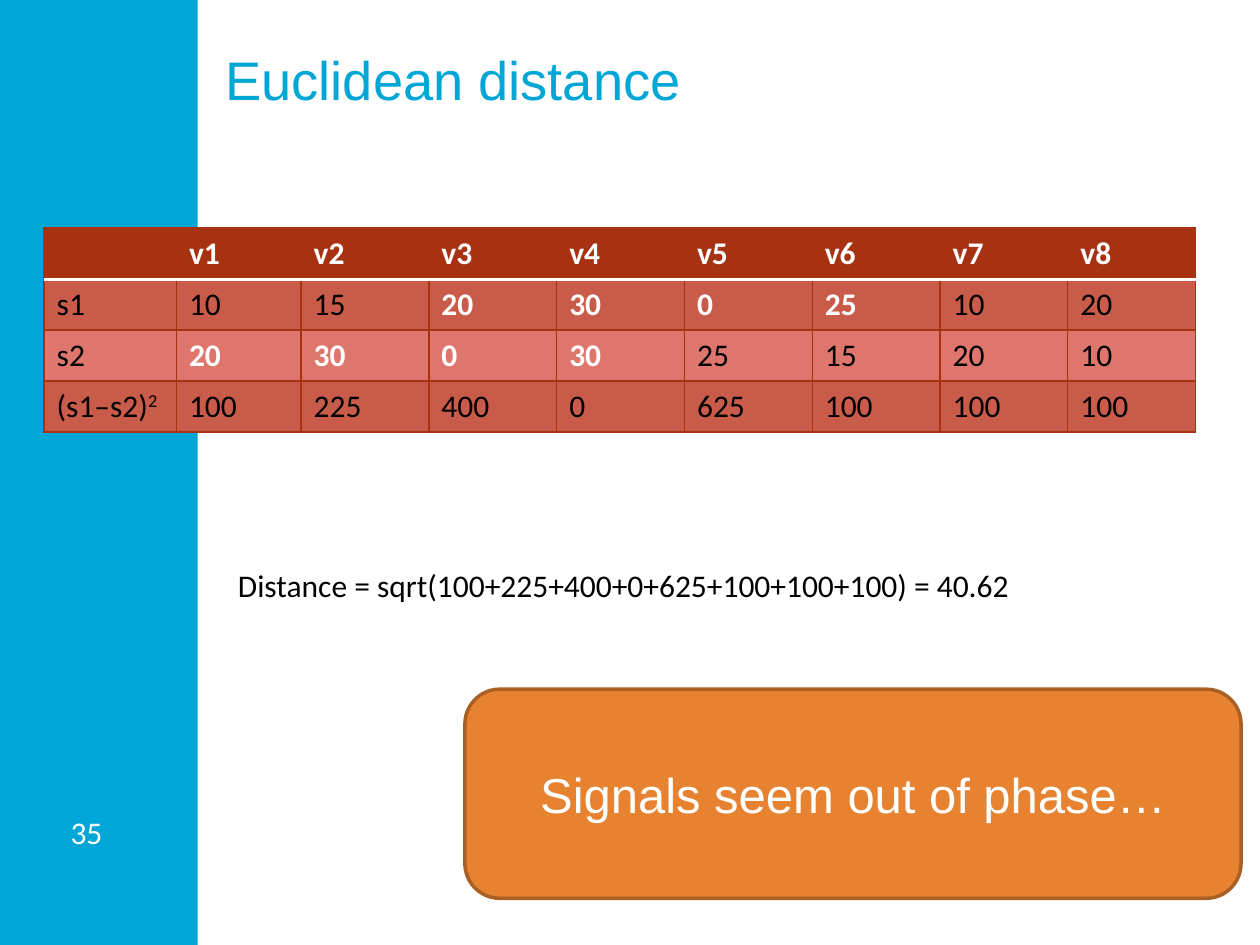
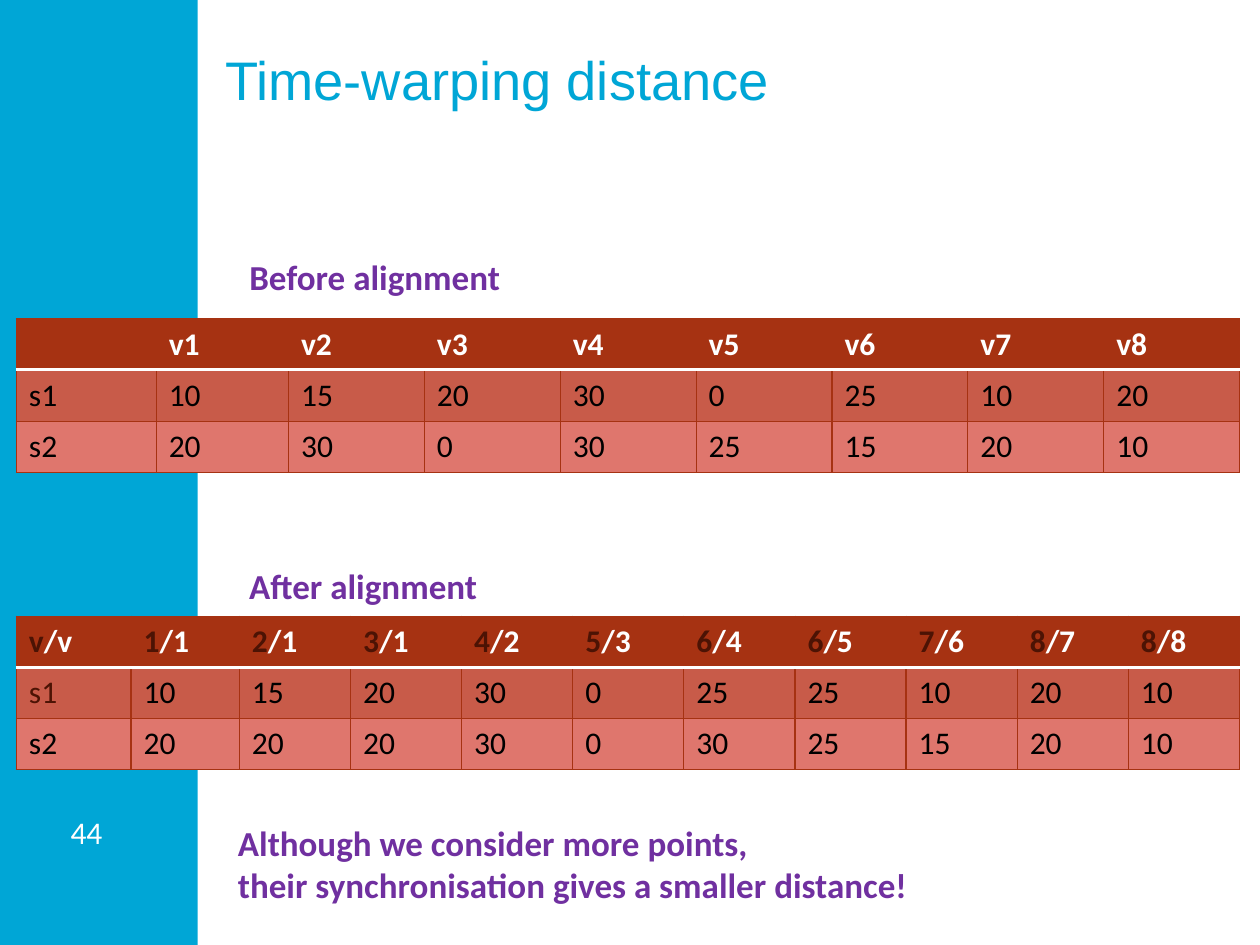
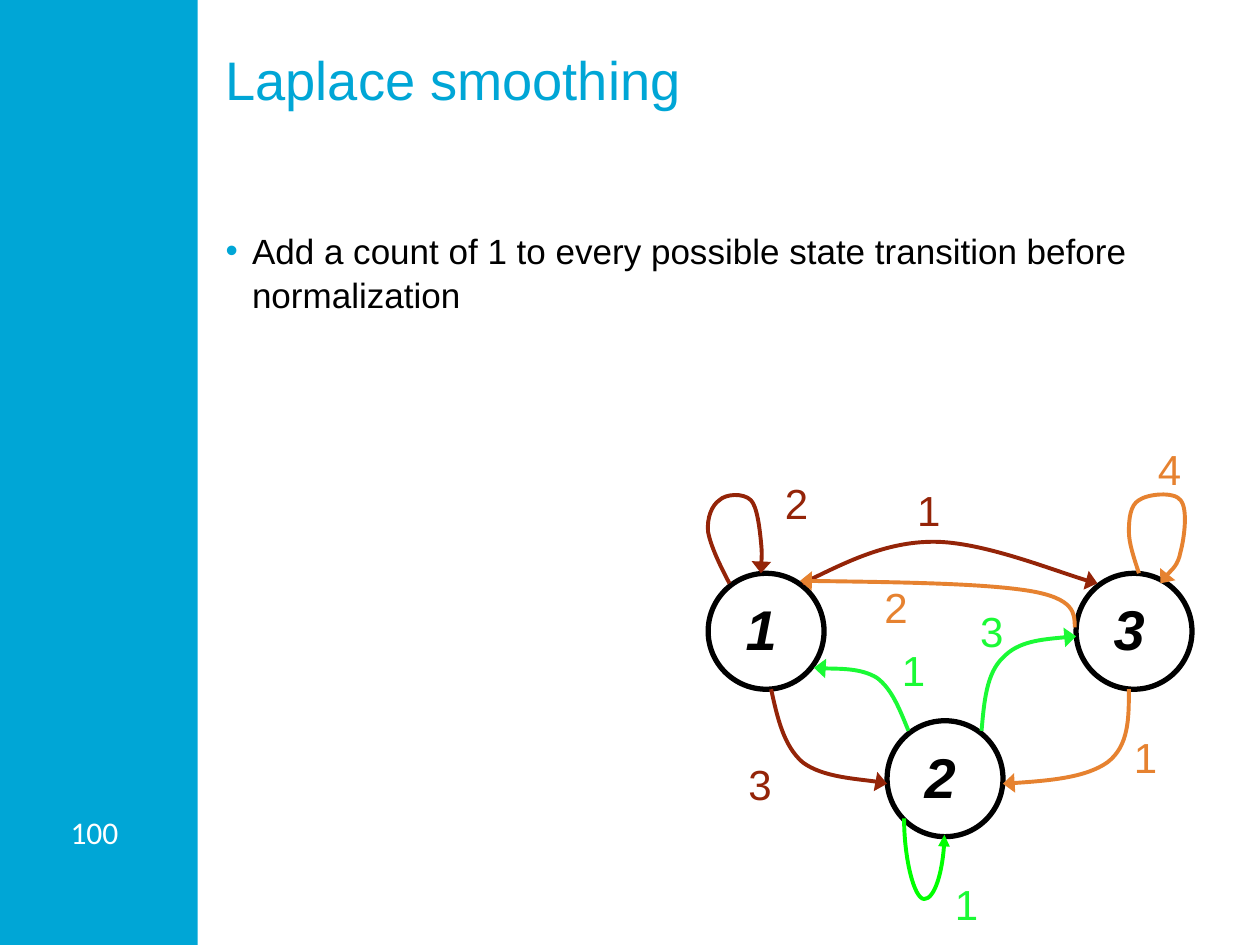
from dataclasses import dataclass

from lxml import etree
from pptx import Presentation
from pptx.dml.color import RGBColor
from pptx.enum.shapes import MSO_CONNECTOR, MSO_SHAPE
from pptx.enum.text import MSO_ANCHOR, MSO_AUTO_SIZE, PP_ALIGN
from pptx.oxml.ns import qn
from pptx.util import Inches, Pt

RECT, ROUND, OVAL = MSO_SHAPE.RECTANGLE, MSO_SHAPE.ROUNDED_RECTANGLE, MSO_SHAPE.OVAL
CURVE = MSO_CONNECTOR.CURVE
LEFT, CENTER = PP_ALIGN.LEFT, PP_ALIGN.CENTER
TOP, MIDDLE = MSO_ANCHOR.TOP, MSO_ANCHOR.MIDDLE
FIXED, GROW = MSO_AUTO_SIZE.NONE, MSO_AUTO_SIZE.SHAPE_TO_FIT_TEXT
LIST, BARE = 1, 5  # layouts with and without a body


@dataclass(frozen=True)
class Theme:
    cyan: str = "00A6D6"
    white: str = "FFFFFF"
    black: str = "000000"
    rust: str = "A63212"
    clay: str = "C85B49"
    rose: str = "DF766D"
    dark: str = "4C1304"
    brick: str = "942408"
    orange: str = "E68230"
    amber: str = "AA6024"
    green: str = "1AFA35"
    lime: str = "00FF00"
    violet: str = "7030A0"
    thin: float = 0.79
    rule: float = 2
    curve: float = 2.25
    ring: float = 3

    def font(self, role):
        """Format values for a kind of text."""
        name, size, color, bold, italic = {
            "title": ("Arial", 31, self.cyan, False, False),
            "body": ("Arial", 20, self.black, False, False),
            "box": ("Arial", 28, self.white, False, False),
            "node": ("Arial", 32, self.black, True, True),
            "count": ("Arial", 24, self.black, False, False),
            "page": ("Calibri", 18, self.white, False, False),
            "text": ("Calibri", 18, self.black, False, False),
            "strong": ("Calibri", 18, self.white, True, False),
            "note": ("Calibri", 20, self.violet, True, False),
        }[role]
        return dict(name=name, size=Pt(size), color=color, bold=bold, italic=italic)


def rgb(color):
    return RGBColor.from_string(color)


def assign(item, **values):
    for key, value in values.items():
        setattr(item, key, value)


def place(shape, box):
    assign(shape, **dict(zip(("left", "top", "width", "height"), map(Inches, box))))


class Deck:
    def __init__(self, theme):
        self.theme = theme
        self.prs = Presentation()
        assign(self.prs, slide_width=Inches(10), slide_height=Inches(7.5))
        self.slide = None

    def start(self, title, page, layout=BARE):
        self.slide = self.prs.slides.add_slide(self.prs.slide_layouts[layout])
        self.shape(RECT, (0, 0, 1.57, 7.5), self.theme.cyan)
        self.text((0.49, 6.41, 0.54, 0.4), page, "page", wrap=True, inset=(0.07, 0.04))
        para = self.holder(self.slide.shapes.title, (1.79, 0.37, 7.7, 1.16))
        self.indent(para, 0.94)
        self.run(para, title, "title")

    def holder(self, shape, box):
        """Place a placeholder and return its first paragraph."""
        place(shape, box)
        frame = shape.text_frame
        assign(frame, auto_size=FIXED, vertical_anchor=TOP, word_wrap=True,
               margin_left=0, margin_right=0, margin_top=0, margin_bottom=0)
        para = frame.paragraphs[0]
        assign(para, alignment=LEFT, space_before=Pt(0))
        return para

    def indent(self, para, size):
        props = para._p.get_or_add_pPr()
        props.set("marL", str(Inches(size)))
        props.set("indent", str(-Inches(size)))
        return props

    def bullet(self, text):
        para = self.holder(self.slide.placeholders[1], (1.79, 1.81, 7.7, 5.26))
        props = self.indent(para, 0.21)
        tint = etree.SubElement(props, qn("a:buClr"))
        etree.SubElement(tint, qn("a:srgbClr"), val=self.theme.cyan)
        etree.SubElement(props, qn("a:buChar"), char="•")
        para.line_spacing = Pt(25)
        self.run(para, text, "body")

    def run(self, para, text, role, **changes):
        run = para.add_run()
        run.text = text
        values = {**self.theme.font(role), **changes}
        run.font.color.rgb = rgb(values.pop("color"))
        assign(run.font, **values)
        return run

    def text(self, box, text, role, wrap=False, inset=(0.1, 0.05), **changes):
        shape = self.slide.shapes.add_textbox(*map(Inches, box))
        frame = shape.text_frame
        side, edge = map(Inches, inset)
        assign(frame, word_wrap=wrap, auto_size=GROW, margin_left=side,
               margin_right=side, margin_top=edge, margin_bottom=edge)
        for num, line in enumerate(text.split("\n")):
            para = frame.add_paragraph() if num else frame.paragraphs[0]
            self.run(para, line, role, **changes)

    def shape(self, kind, box, fill, line=None, width=0, text=None):
        shape = self.slide.shapes.add_shape(kind, *map(Inches, box))
        shape.shadow.inherit = False
        shape.fill.solid()
        shape.fill.fore_color.rgb = rgb(fill)
        if line:
            self.stroke(shape, line, width)
        else:
            shape.line.fill.background()
        if text:
            shape.text_frame.vertical_anchor = MIDDLE
            para = shape.text_frame.paragraphs[0]
            para.alignment = CENTER
            self.run(para, text, "box")

    def stroke(self, shape, color, width, head=None):
        shape.line.color.rgb = rgb(color)
        shape.line.width = Pt(width)
        if head:
            etree.SubElement(shape.line._get_or_add_ln(), qn("a:tailEnd"),
                             type="triangle", w=head, len="med")

    def arrow(self, color, *points):
        """Draw a curve: a start, then three points for each Bézier piece."""
        first, *rest = [(Inches(x), Inches(y)) for x, y in points]
        form = self.slide.shapes.build_freeform(*first)
        form.add_line_segments(rest, close=False)
        shape = form.convert_to_shape()
        shape.shadow.inherit = False
        shape.fill.background()
        self.stroke(shape, color, self.theme.curve, "lg")
        route = next(shape._element.iter(qn("a:path")))
        legs = route.findall(qn("a:lnTo"))
        for at in range(0, len(legs), 3):
            bend = etree.SubElement(route, qn("a:cubicBezTo"))
            for leg in legs[at:at + 3]:
                bend.append(leg[0])
                route.remove(leg)

    def loop(self, color, start, end, bend):
        """Draw a curved connector turned by 270 degrees."""
        link = self.slide.shapes.add_connector(CURVE, *map(Inches, start + end))
        self.stroke(link, color, self.theme.curve, "med")
        props = link._element.spPr
        etree.SubElement(props, qn("a:effectLst"))
        props.find(qn("a:xfrm")).set("rot", str(270 * 60000))
        guides = props.find(qn("a:prstGeom")).get_or_add_avLst()
        etree.SubElement(guides, qn("a:gd"), name="adj1", fmla=f"val {bend}")

    def edge(self, cell, side, color, width):
        line = etree.SubElement(cell._tc.get_or_add_tcPr(), qn(f"a:ln{side}"),
                                w=str(Pt(width)))
        fill = etree.SubElement(line, qn("a:solidFill"))
        etree.SubElement(fill, qn("a:srgbClr"), val=color)

    def table(self, box, lead, rows):
        """Add a table; lead holds the first widths, the rest share what is left."""
        look = self.theme
        count = len(rows[0])
        grid = self.slide.shapes.add_table(len(rows), count, *map(Inches, box)).table
        grid.horz_banding = False
        share = (box[2] - sum(lead)) / (count - len(lead))
        for col, width in zip(grid.columns, lead + [share] * (count - len(lead))):
            col.width = Inches(width)
        for r, row in enumerate(rows):
            tint = look.rust if r == 0 else (look.rose, look.clay)[r % 2]
            for c, value in enumerate(row):
                cell = grid.cell(r, c)
                for side in "LRTB":
                    rule = (r, side) in ((0, "B"), (1, "T"))
                    self.edge(cell, side, *((look.white, look.rule) if rule
                                            else (look.rust, look.thin)))
                cell.fill.solid()
                cell.fill.fore_color.rgb = rgb(tint)
                self.entry(cell.text_frame.paragraphs[0], value, r == 0)

    def entry(self, para, value, head):
        """Fill a cell: * is strong, ~ is dark, ^ raises, a/b has a dark a."""
        look = self.theme
        role = "strong" if head or value.startswith("*") else "text"
        tint = {"color": look.dark} if value.startswith("~") else {}
        base, _, power = value.strip("*~").partition("^")
        first, slash, last = base.partition("/")
        if slash:
            self.run(para, first, role, color=look.dark)
            self.run(para, slash + last, role)
        elif base:
            self.run(para, base, role, **tint)
        if power:
            self.run(para, power, role)._r.get_or_add_rPr().set("baseline", "30000")


def euclid(deck):
    look = deck.theme
    deck.start("Euclidean distance", "35")
    deck.text((1.79, 4.44, 8.13, 0.4),
              "Distance = sqrt(100+225+400+0+625+100+100+100) = 40.62", "text", wrap=True)
    deck.shape(ROUND, (3.69, 5.47, 6.16, 1.66), look.orange, look.amber, look.rule,
               "Signals seem out of phase…")
    deck.table((0.35, 1.81, 9.14, 1.62), [1.05, 0.99], [
        [""] + [f"v{n}" for n in range(1, 9)],
        "s1 10 15 *20 *30 *0 *25 10 20".split(),
        "s2 *20 *30 *0 *30 25 15 20 10".split(),
        "(s1–s2)^2 100 225 400 0 625 100 100 100".split(),
    ])


def warp(deck):
    deck.start("Time-warping distance", "44")
    deck.table((0.13, 2.53, 9.71, 1.22), [1.11, 1.05], [
        [""] + [f"v{n}" for n in range(1, 9)],
        "s1 10 15 20 30 0 25 10 20".split(),
        "s2 20 30 0 30 25 15 20 10".split(),
    ])
    deck.table((0.13, 4.89, 9.71, 1.22), [0.91, 0.86], [
        "v/v 1/1 2/1 3/1 4/2 5/3 6/4 6/5 7/6 8/7 8/8".split(),
        "~s1 10 15 20 30 0 25 25 10 20 10".split(),
        "s2 20 20 20 30 0 30 25 15 20 10".split(),
    ])
    deck.text((1.88, 1.98, 2.21, 0.44), "Before alignment", "note")
    deck.text((1.88, 4.43, 2.03, 0.44), "After alignment", "note")
    deck.text((1.79, 6.47, 5.56, 0.77), "Although we consider more points,\n"
              "their synchronisation gives a smaller distance!", "note")


def laplace(deck):
    look = deck.theme
    brick, orange, green = look.brick, look.orange, look.green
    deck.start("Laplace smoothing", "100", LIST)
    deck.bullet("Add a count of 1 to every possible state transition before normalization")
    for name, x, y in (("1", 5.62, 4.55), ("3", 8.54, 4.55), ("2", 7.04, 5.72)):
        deck.shape(OVAL, (x, y, 0.92, 0.92), look.white, look.black, look.ring)
        deck.text((x + 0.2, y + 0.12, 0.45, 0.63), name, "node")
    deck.arrow(brick, (5.79, 4.63), (5.71, 4.48), (5.64, 4.33), (5.62, 4.22),
               (5.61, 4.11), (5.65, 4.01), (5.71, 3.97), (5.76, 3.92), (5.9, 3.91),
               (5.96, 3.97), (6.01, 4.02), (6.03, 4.2), (6.04, 4.3),
               (6.05, 4.4), (6.04, 4.51), (6.04, 4.55))
    deck.arrow(brick, (6.37, 4.63), (6.7, 4.47), (7.02, 4.3), (7.41, 4.3),
               (7.8, 4.3), (8.49, 4.58), (8.71, 4.63))
    deck.arrow(brick, (6.12, 5.47), (6.17, 5.7), (6.22, 5.92), (6.37, 6.05),
               (6.53, 6.17), (6.93, 6.19), (7.04, 6.22))
    deck.arrow(green, (7.21, 5.8), (7.14, 5.63), (7.08, 5.47), (6.96, 5.38),
               (6.83, 5.3), (6.54, 5.31), (6.46, 5.3))
    deck.arrow(orange, (9.04, 4.55), (9, 4.43), (8.96, 4.31), (8.96, 4.22),
               (8.96, 4.12), (8.97, 4.01), (9.04, 3.97), (9.11, 3.92), (9.32, 3.9),
               (9.37, 3.97), (9.43, 4.04), (9.4, 4.27), (9.37, 4.38),
               (9.35, 4.49), (9.23, 4.59), (9.21, 4.63))
    deck.arrow(orange, (8.96, 5.47), (8.96, 5.7), (8.96, 5.92), (8.79, 6.05),
               (8.62, 6.17), (8.29, 6.2), (7.96, 6.22))
    deck.arrow(green, (7.79, 5.8), (7.81, 5.57), (7.83, 5.34), (7.96, 5.22),
               (8.08, 5.09), (8.31, 5.07), (8.54, 5.05))
    deck.arrow(orange, (8.53, 4.98), (8.53, 4.87), (8.53, 4.75), (8.17, 4.69),
               (7.8, 4.63), (7.07, 4.62), (6.35, 4.61))
    deck.loop(look.lime, (7.4, 6.4), (7.27, 6.72), 493100)
    for count, color, x, y in (
            ("2", brick, 6.13, 3.74), ("3", brick, 5.84, 5.97), ("1", brick, 7.18, 3.8),
            ("3", green, 7.68, 4.76), ("1", green, 7.06, 5.07), ("1", green, 7.48, 6.92),
            ("4", orange, 9.09, 3.47), ("2", orange, 6.92, 4.57), ("1", orange, 8.9, 5.76)):
        deck.text((x, y, 0.39, 0.5), count, "count", color=color)


def main():
    deck = Deck(Theme())
    for build in (euclid, warp, laplace):
        build(deck)
    deck.prs.save("out.pptx")


if __name__ == "__main__":
    main()
